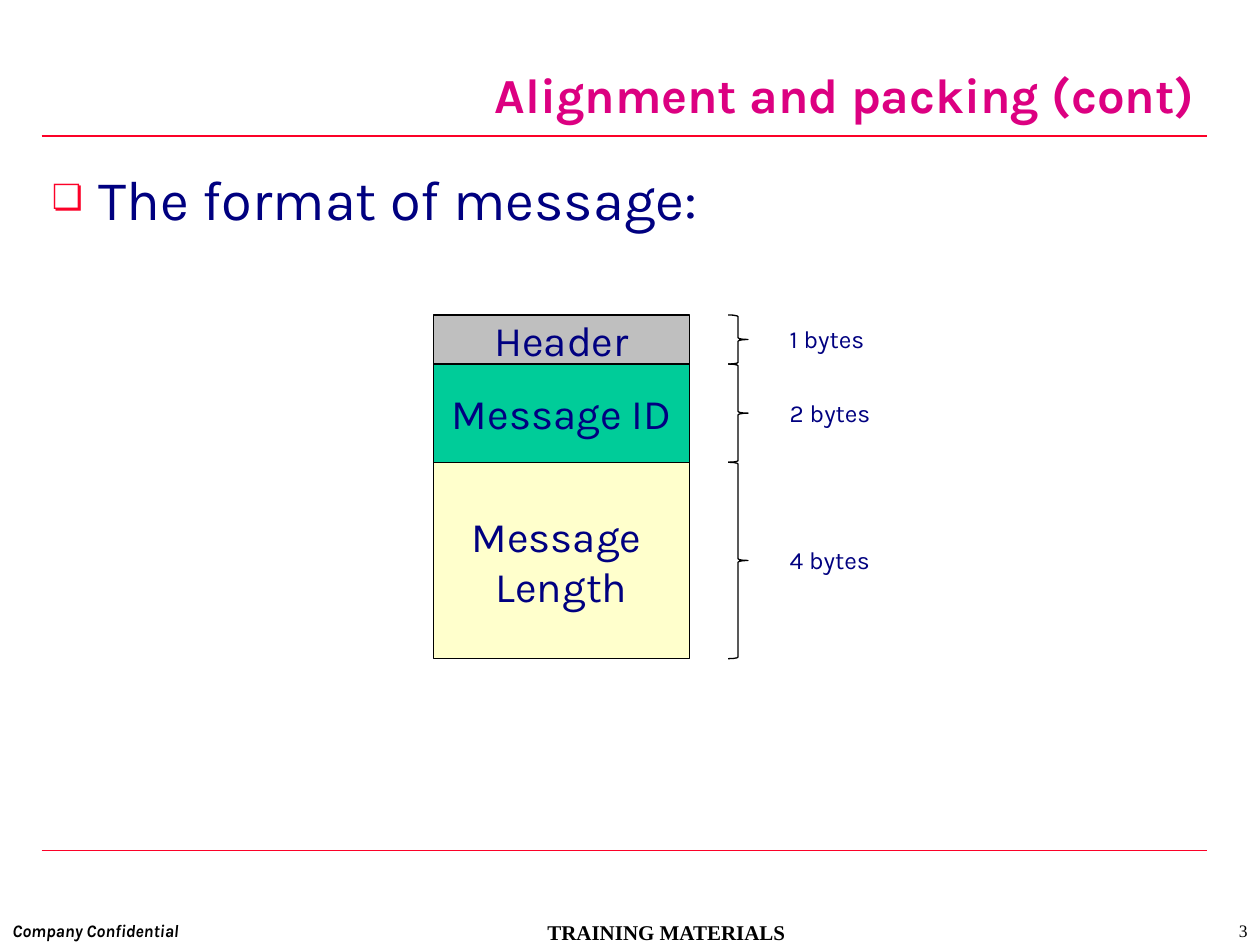
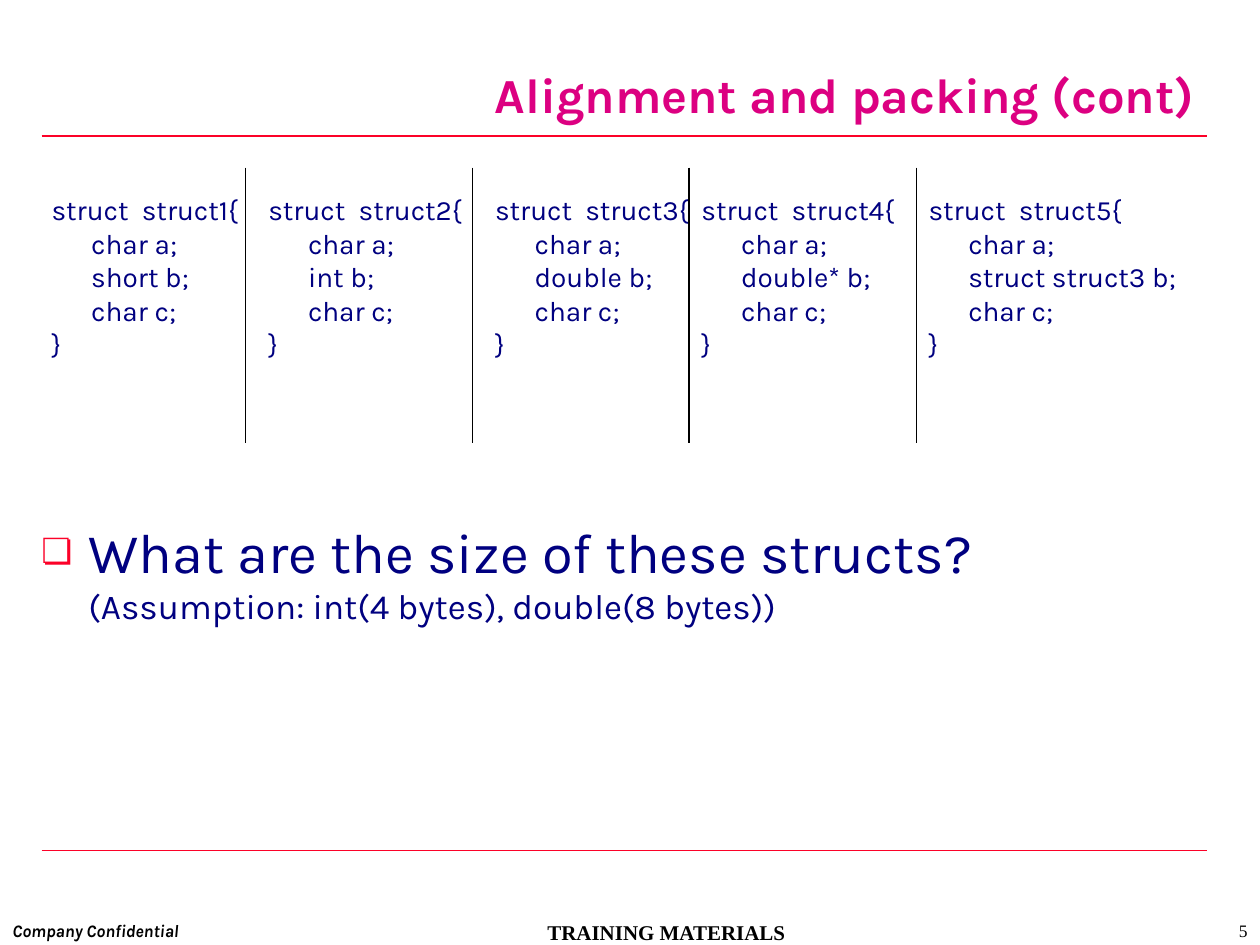
from lxml import etree
from pptx import Presentation
from pptx.dml.color import RGBColor
from pptx.enum.shapes import MSO_CONNECTOR, MSO_SHAPE
from pptx.enum.text import MSO_ANCHOR, MSO_AUTO_SIZE, PP_ALIGN
from pptx.oxml.ns import qn
from pptx.util import Cm, Pt

STRAIGHT = MSO_CONNECTOR.STRAIGHT
RECTANGLE, RIGHT_BRACE = MSO_SHAPE.RECTANGLE, MSO_SHAPE.RIGHT_BRACE
TOP, MIDDLE = MSO_ANCHOR.TOP, MSO_ANCHOR.MIDDLE
NO_FIT = MSO_AUTO_SIZE.NONE
LEFT, CENTER, RIGHT = PP_ALIGN.LEFT, PP_ALIGN.CENTER, PP_ALIGN.RIGHT

RED = RGBColor(0xFC, 0x01, 0x28)
MAGENTA = RGBColor(0xDC, 0x00, 0x81)
NAVY = RGBColor(0x00, 0x00, 0x80)
BLACK = RGBColor(0x00, 0x00, 0x00)
GREY = RGBColor(0xBF, 0xBF, 0xBF)
GREEN = RGBColor(0x00, 0xCC, 0x99)
CREAM = RGBColor(0xFF, 0xFF, 0xCC)

SANS, SERIF = "Karla", "Times New Roman"

TITLE = "Alignment and packing (cont)"
CONFIDENTIAL = "Company Confidential"
COURSE = "TRAINING MATERIALS"

FORMAT_HEADING = "The format of message:"
MESSAGE_FIELDS = [
    (["Header"], 1, GREY),
    (["Message ID"], 2, GREEN),
    (["Message ", "Length"], 4, CREAM),
]

STRUCTS = [
    ("struct1", "short", 0.79, 5.36),
    ("struct2", "int", 5.16, 5.36),
    ("struct3", "double", 9.73, 5.36),
    ("struct4", "double*", 13.89, 4.57),
    ("struct5", "struct struct3", 18.47, 5.94),
]
DIVIDERS = [4.95, 9.53, 13.89, 18.47]
QUESTION = "What are the size of these structs? "
ASSUMPTION = "(Assumption: int(4 bytes), double(8 bytes))"

FIELD_LEFT, FIELD_TOP, FIELD_WIDTH = 8.74, 6.35, 5.16
BYTE_HEIGHT = 0.99
BRACE_LEFT, BRACE_WIDTH = 14.68, 0.4
SIZE_LEFT, SIZE_WIDTH, SIZE_HEIGHT = 15.67, 2.39, 0.86


def place(shape, left, top, width, height):
    shape.left, shape.top = Cm(left), Cm(top)
    shape.width, shape.height = Cm(width), Cm(height)


def style(paragraph, size, color=NAVY, name=SANS, bold=False, italic=False, align=LEFT):
    paragraph.alignment = align
    font = paragraph.font
    font.name, font.size = name, Pt(size)
    font.bold, font.italic = bold, italic
    font.color.rgb = color


def fill_text(frame, lines, size, **look):
    frame.text = "\n".join(lines)
    for paragraph in frame.paragraphs:
        style(paragraph, size, **look)


def add_label(slide, box, lines, size, **look):
    label = slide.shapes.add_textbox(*map(Cm, box))
    label.text_frame.word_wrap = True
    fill_text(label.text_frame, lines, size, **look)
    return label


def add_line(slide, x1, y1, x2, y2, color):
    line = slide.shapes.add_connector(STRAIGHT, Cm(x1), Cm(y1), Cm(x2), Cm(y2))
    line.line.color.rgb = color
    line.line.width = Pt(0.75)
    etree.SubElement(line._element.spPr, qn("a:effectLst"))


def add_outlined(slide, preset, left, top, width, height):
    shape = slide.shapes.add_shape(preset, Cm(left), Cm(top), Cm(width), Cm(height))
    shape.shadow.inherit = False
    shape.line.color.rgb = BLACK
    shape.line.width = Pt(0.75)
    return shape


def fill_bullet(body, text, space_before):
    frame = body.text_frame
    frame.auto_size = NO_FIT
    frame.vertical_anchor = TOP
    paragraph = frame.paragraphs[0]
    paragraph.text = text
    paragraph.space_before = Pt(space_before)
    properties = paragraph._p.get_or_add_pPr()
    properties.set("marL", str(Cm(0.95)))
    properties.set("indent", str(-Cm(0.95)))
    bullet_color = etree.SubElement(properties, qn("a:buClr"))
    etree.SubElement(bullet_color, qn("a:srgbClr"), val=str(RED))
    etree.SubElement(properties, qn("a:buSzPct"), val="62000")
    etree.SubElement(properties, qn("a:buChar"), char="❏")
    style(paragraph, 32)
    return paragraph


def start_slide(deck, number):
    slide = deck.slides.add_slide(deck.slide_layouts[1])
    for y in (2.74, 17.15):
        add_line(slide, 0.84, y, 24.33, y, RED)
    title = slide.shapes.title
    place(title, 2.74, 0.84, 21.59, 2.11)
    title.text_frame.auto_size = NO_FIT
    title.text_frame.vertical_anchor = MIDDLE
    fill_text(title.text_frame, [TITLE], 28, color=MAGENTA, bold=True, align=RIGHT)
    add_label(slide, (10.16, 18.42, 6.55, 0.64), [COURSE], 12,
              color=BLACK, name=SERIF, bold=True, align=CENTER)
    add_label(slide, (0, 18.42, 7.19, 0.64), [CONFIDENTIAL], 10,
              color=BLACK, bold=True, italic=True)
    add_label(slide, (20.12, 18.42, 5.28, 0.64), [str(number)], 10,
              color=BLACK, name=SERIF, align=RIGHT)
    return slide


def build_message_format(deck):
    slide = start_slide(deck, 3)
    heading = slide.placeholders[1]
    place(heading, 0.79, 3.18, 23.5, 1.93)
    fill_bullet(heading, FORMAT_HEADING, 8)
    top = FIELD_TOP
    for names, size, color in MESSAGE_FIELDS:
        height = size * BYTE_HEIGHT
        field = add_outlined(slide, RECTANGLE, FIELD_LEFT, top, FIELD_WIDTH, height)
        field.fill.solid()
        field.fill.fore_color.rgb = color
        field.text_frame.word_wrap = False
        field.text_frame.vertical_anchor = MIDDLE
        fill_text(field.text_frame, names, 24, align=CENTER)
        brace = add_outlined(slide, RIGHT_BRACE, BRACE_LEFT, top, BRACE_WIDTH, height)
        brace.fill.background()
        size_top = top + (height - SIZE_HEIGHT) / 2
        add_label(slide, (SIZE_LEFT, size_top, SIZE_WIDTH, SIZE_HEIGHT), [f"{size} bytes"], 14)
        top += height


def build_struct_sizes(deck):
    slide = start_slide(deck, 5)
    for name, middle_type, left, width in STRUCTS:
        members = ["char a;", f"{middle_type} b;", "char c;"]
        code = add_label(slide, (left, 3.76, width, 3.66),
                         [f"struct  {name}{{", *members, "}"], 16)
        for member in code.text_frame.paragraphs[1:-1]:
            member._p.get_or_add_pPr().set("marL", str(Cm(0.8)))
    for x in DIVIDERS:
        add_line(slide, x, 3.38, x, 8.94, BLACK)
    question = slide.placeholders[1]
    place(question, 0.58, 10.31, 23.22, 2.46)
    paragraph = fill_bullet(question, QUESTION, 5)
    assumption = paragraph.add_run()
    assumption.text = ASSUMPTION
    assumption.font.size = Pt(20)


def main():
    deck = Presentation()
    deck.slide_width, deck.slide_height = Cm(25.4), Cm(19.05)
    build_message_format(deck)
    build_struct_sizes(deck)
    deck.save("out.pptx")


if __name__ == "__main__":
    main()
